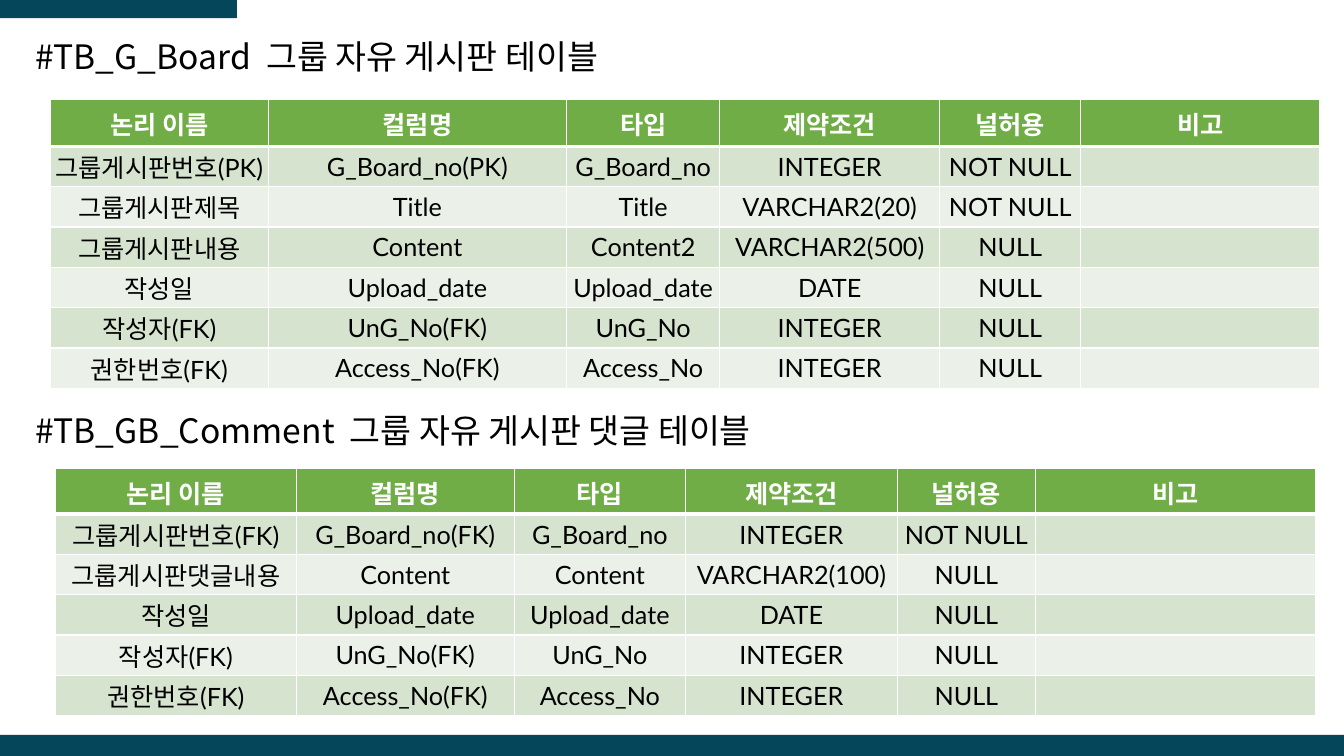
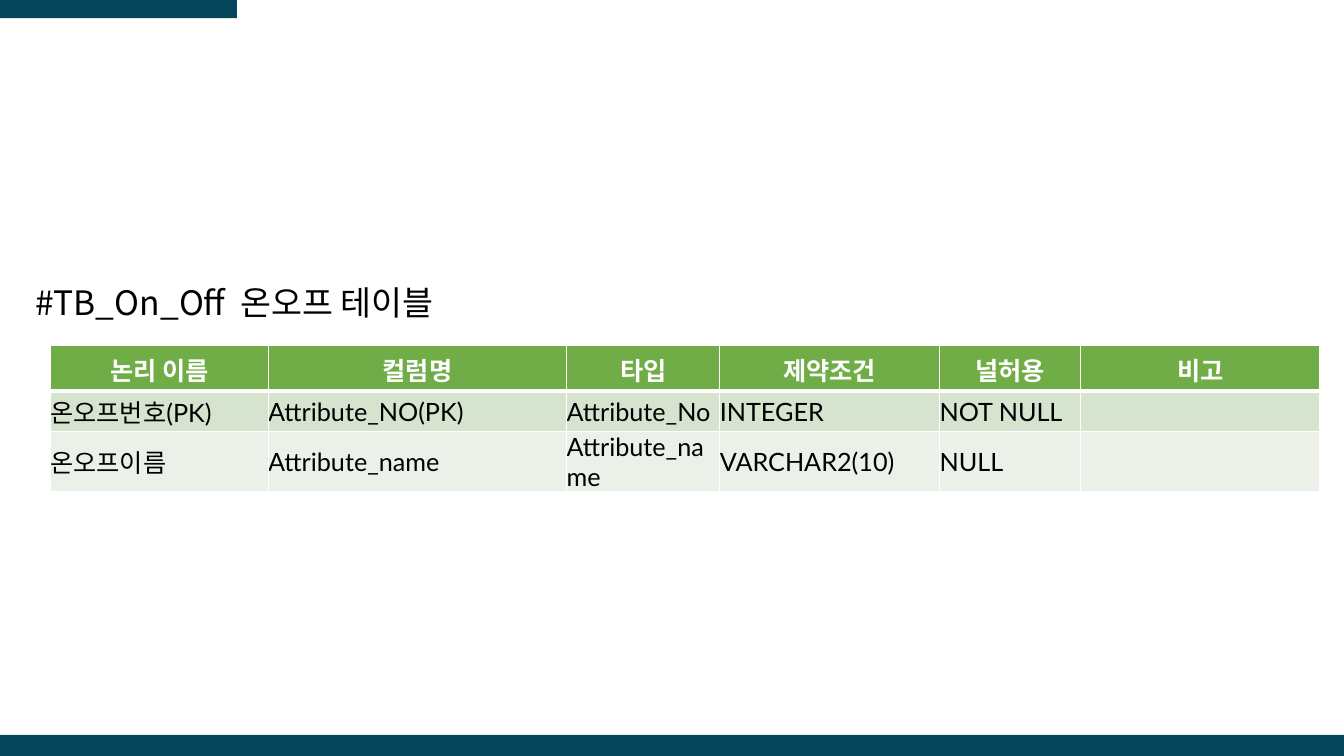
import dataclasses

import lxml.etree
import pptx
import pptx.dml.color
import pptx.enum.shapes
import pptx.enum.text
import pptx.oxml.ns
import pptx.util

Inches = pptx.util.Inches
Pt = pptx.util.Pt
Align = pptx.enum.text.PP_ALIGN
Anchor = pptx.enum.text.MSO_ANCHOR


@dataclasses.dataclass(frozen=True)
class Theme:
    band: str = "06465B"
    header: str = "70AD47"
    stripes: tuple = ("D5E3CF", "EBF1E9")
    light: str = "FFFFFF"
    dark: str = "000000"
    title_font: str = "Noto Sans CJK KR"
    cell_font: str = "Lato"
    title_size: int = 24
    cell_size: int = 18
    border: int = 1
    header_border: int = 3
    header_height: float = 0.45
    row_height: float = 0.4


def rgb(value):
    return pptx.dml.color.RGBColor.from_string(value)


def apply(target, formats):
    for name, value in formats.items():
        setattr(target, name, value)


class Deck:
    def __init__(self, theme, width, height):
        self.theme = theme
        self.width, self.height = width, height
        self.presentation = pptx.Presentation()
        apply(self.presentation, {"slide_width": Inches(width), "slide_height": Inches(height)})
        self.slide = None

    def add_slide(self):
        self.slide = self.presentation.slides.add_slide(self.presentation.slide_layouts[6])
        self.band(0, 2.35, 0.18)
        self.band(7.29, self.width, 0.21)

    def band(self, top, width, height):
        shape = self.slide.shapes.add_shape(
            pptx.enum.shapes.MSO_SHAPE.RECTANGLE, 0, Inches(top), Inches(width), Inches(height))
        shape.shadow.inherit = False
        shape.fill.solid()
        shape.fill.fore_color.rgb = rgb(self.theme.band)
        shape.line.fill.background()

    def styled_run(self, paragraph, text, font, size, color, bold=False):
        run = paragraph.add_run()
        run.text = text
        apply(run.font, {"name": font, "size": Pt(size), "bold": bold})
        run.font.color.rgb = rgb(color)
        east_asian = lxml.etree.SubElement(run.font._element, pptx.oxml.ns.qn("a:ea"))
        east_asian.set("typeface", self.theme.title_font)

    def title(self, top, text):
        shape = self.slide.shapes.add_textbox(Inches(0.25), Inches(top), Inches(8.21), Inches(0.43))
        apply(shape.text_frame, {"word_wrap": True, "vertical_anchor": Anchor.MIDDLE})
        paragraph = shape.text_frame.paragraphs[0]
        paragraph.line_spacing = 0.9
        self.styled_run(
            paragraph, text, self.theme.title_font, self.theme.title_size, self.theme.dark)

    def borders(self, cell, top, bottom):
        properties = cell._tc.get_or_add_tcPr()
        side = self.theme.border
        for tag, width in {"lnL": side, "lnR": side, "lnT": top, "lnB": bottom}.items():
            line = lxml.etree.SubElement(properties, pptx.oxml.ns.qn("a:" + tag), w=str(Pt(width)))
            fill = lxml.etree.SubElement(line, pptx.oxml.ns.qn("a:solidFill"))
            lxml.etree.SubElement(fill, pptx.oxml.ns.qn("a:srgbClr"), val=self.theme.light)

    def cell(self, cell, text, row_index, alignment):
        theme = self.theme
        is_header = row_index == 0
        self.borders(
            cell,
            theme.header_border if row_index == 1 else theme.border,
            theme.header_border if is_header else theme.border)
        cell.fill.solid()
        cell.fill.fore_color.rgb = rgb(
            theme.header if is_header else theme.stripes[(row_index - 1) % 2])
        if not is_header:
            margins = ("margin_left", "margin_right", "margin_top", "margin_bottom")
            apply(cell, {"vertical_anchor": Anchor.MIDDLE, **dict.fromkeys(margins, 0)})
        paragraph = cell.text_frame.paragraphs[0]
        paragraph.alignment = Align.CENTER if is_header else alignment
        if text:
            self.styled_run(paragraph, text, theme.cell_font, theme.cell_size,
                            theme.light if is_header else theme.dark, is_header)

    def table(self, left, top, widths, records, alignment=Align.CENTER):
        rows = [HEADINGS] + [(*record, "") for record in records]
        heights = [self.theme.header_height] + [self.theme.row_height] * len(records)
        table = self.slide.shapes.add_table(
            len(rows), len(widths), Inches(left), Inches(top),
            Inches(sum(widths)), Inches(sum(heights))).table
        for column, width in zip(table.columns, widths):
            column.width = Inches(width)
        for row_index, (row, height) in enumerate(zip(rows, heights)):
            table.rows[row_index].height = Inches(height)
            for column_index, text in enumerate(row):
                self.cell(table.cell(row_index, column_index), text, row_index, alignment)


HEADINGS = ("논리 이름", "컬럼명", "타입", "제약조건", "널허용", "비고")
BOARD_WIDTHS = (2.16, 2.96, 1.52, 2.18, 1.4, 2.37)
COMMENT_WIDTHS = (2.39, 2.16, 1.7, 2.1, 1.37, 2.78)
SHARED_RECORDS = [
    ("작성일", "Upload_date", "Upload_date", "DATE", "NULL"),
    ("작성자(FK)", "UnG_No(FK)", "UnG_No", "INTEGER", "NULL"),
    ("권한번호(FK)", "Access_No(FK)", "Access_No", "INTEGER", "NULL"),
]
BOARD_RECORDS = [
    ("그룹게시판번호(PK)", "G_Board_no(PK)", "G_Board_no", "INTEGER", "NOT NULL"),
    ("그룹게시판제목", "Title", "Title", "VARCHAR2(20)", "NOT NULL"),
    ("그룹게시판내용", "Content", "Content2", "VARCHAR2(500)", "NULL"),
] + SHARED_RECORDS
COMMENT_RECORDS = [
    ("그룹게시판번호(FK)", "G_Board_no(FK)", "G_Board_no", "INTEGER", "NOT NULL"),
    ("그룹게시판댓글내용", "Content", "Content", "VARCHAR2(100)", "NULL"),
] + SHARED_RECORDS
ON_OFF_RECORDS = [
    ("온오프번호(PK)", "Attribute_NO(PK)", "Attribute_No", "INTEGER", "NOT NULL"),
    ("온오프이름", "Attribute_name", "Attribute_name", "VARCHAR2(10)", "NULL"),
]

deck = Deck(Theme(), 13.33, 7.5)

deck.add_slide()
deck.table(0.5, 0.99, BOARD_WIDTHS, BOARD_RECORDS)
deck.title(0.37, "#TB_G_Board  그룹 자유 게시판 테이블")
deck.table(0.55, 4.65, COMMENT_WIDTHS, COMMENT_RECORDS)
deck.title(4.08, "#TB_GB_Comment  그룹 자유 게시판 댓글 테이블")

deck.add_slide()
deck.table(0.5, 3.43, BOARD_WIDTHS, ON_OFF_RECORDS, Align.LEFT)
deck.title(2.81, "#TB_On_Off  온오프 테이블")

deck.presentation.save("out.pptx")
